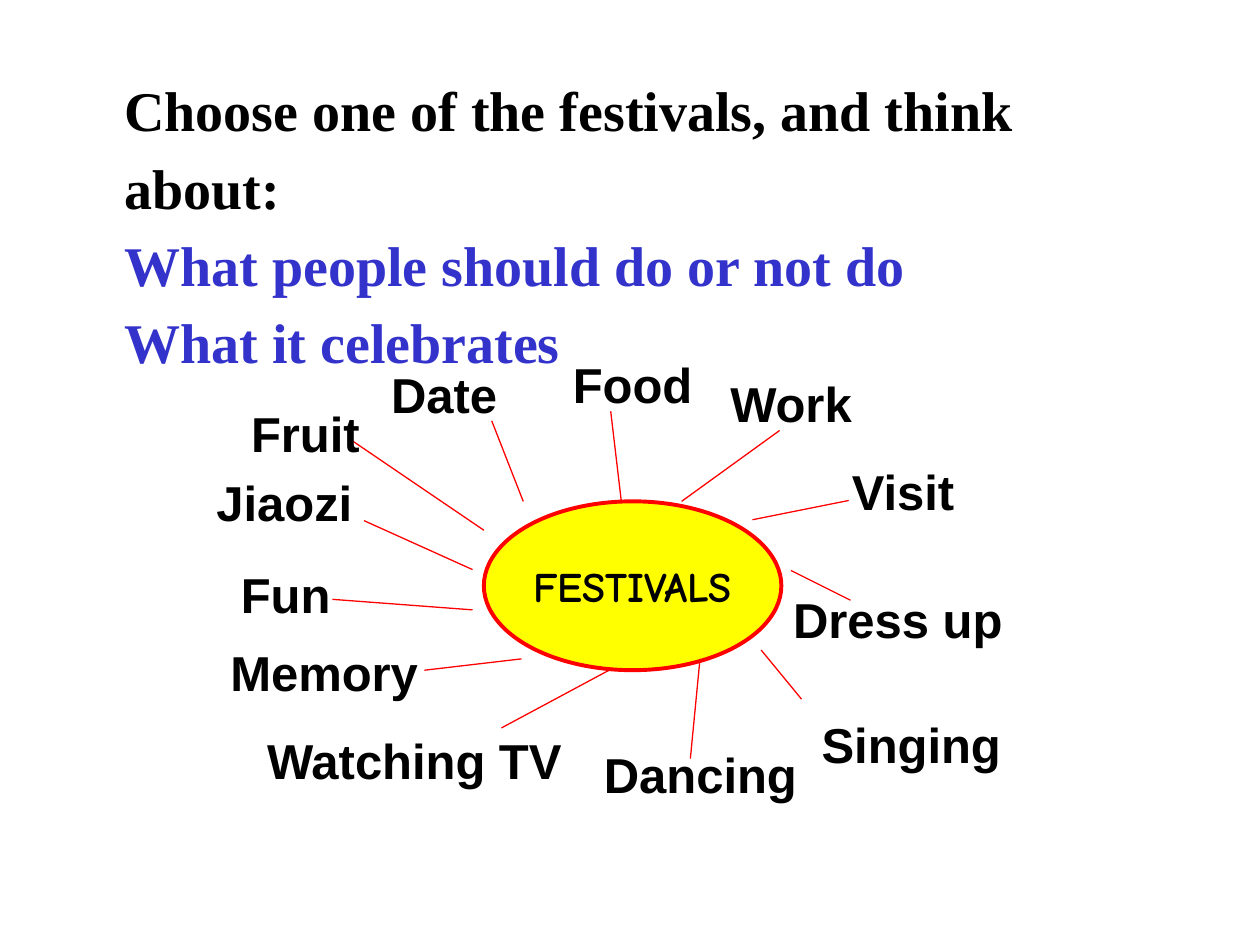
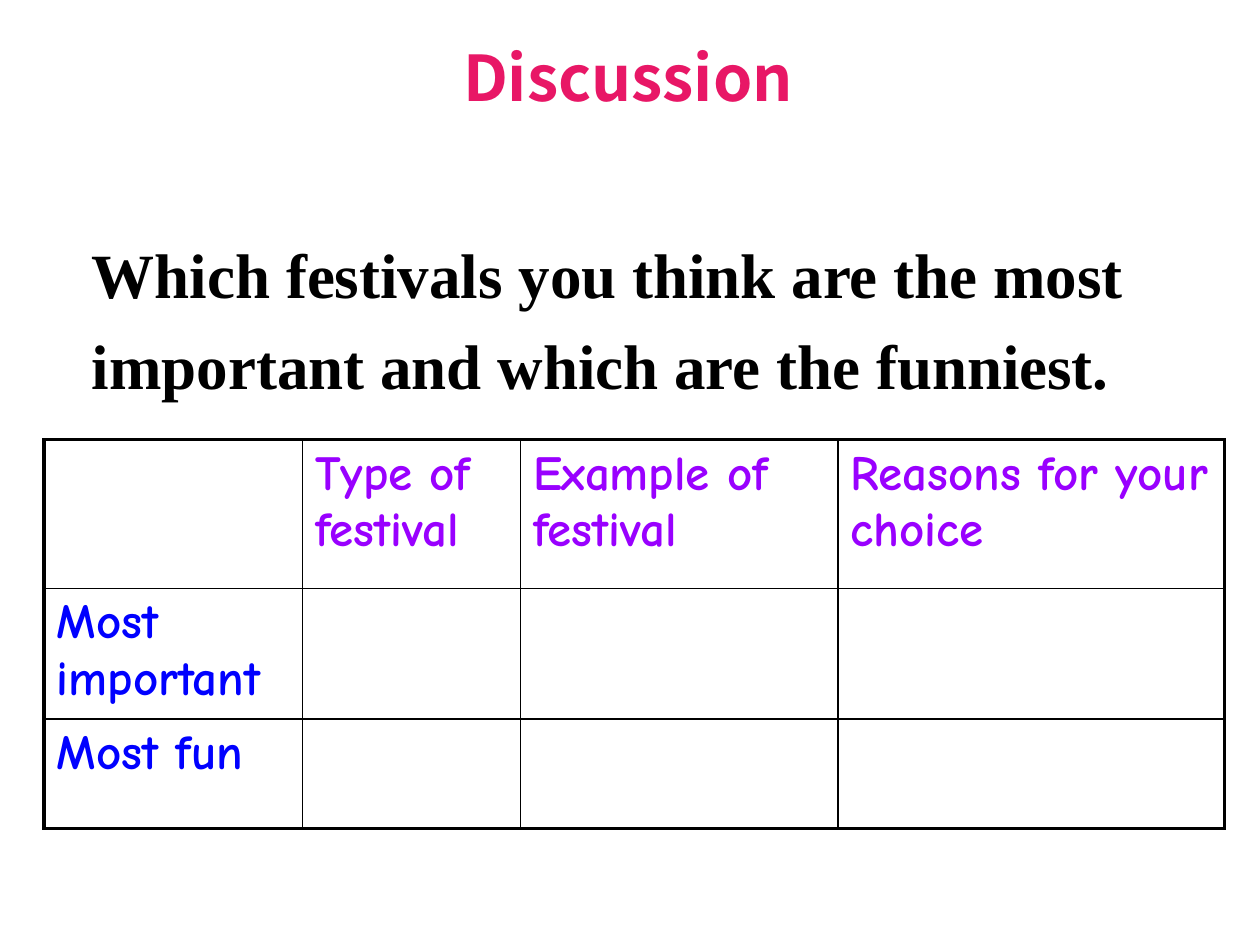
"""Build two slides on festivals: a word map and a discussion table."""
from lxml import etree
from pptx import Presentation
from pptx.dml.color import RGBColor
from pptx.enum.shapes import MSO_CONNECTOR, MSO_SHAPE
from pptx.enum.text import MSO_ANCHOR, PP_ALIGN
from pptx.oxml.ns import qn
from pptx.util import Pt

BLACK = RGBColor(0, 0, 0)
WHITE = RGBColor(255, 255, 255)
RED = RGBColor(255, 0, 0)
YELLOW = RGBColor(255, 255, 0)
BLUE = RGBColor(0, 0, 255)
INDIGO = RGBColor(0x33, 0x33, 0xCC)
PURPLE = RGBColor(0x99, 0, 0xFF)
PINK = RGBColor(0xE8, 0x17, 0x66)

SERIF, SANS = "Times New Roman", "Arial"
COMIC, TITLE = "Comic Neue", "Noto Sans CJK SC"
THIN, THICK = 1, 2.25

WORD_HEIGHT = 41
TOPICS = [
    ("Food", (320, 199, 83), (355, 286), (349, 235)),
    ("Work", (410, 210, 84), (389.5, 286.5), (445.5, 246)),
    ("Visit", (479.5, 260, 73), (430, 297), (485, 286)),
    ("Dress up", (445.5, 333.5, 135), (452, 326), (486, 343)),
    ("Singing", (462, 404.5, 117.5), (435, 371.5), (458, 399.5)),
    ("Dancing", (337.5, 422, 125.5), (400, 376.5), (394.5, 433.5)),
    ("Watching TV", (144.5, 414, 184.5), (349, 382.5), (286.5, 416)),
    ("Memory", (124.5, 363.5, 121.5), (298, 376.5), (242.5, 383)),
    ("Fun", (130.5, 319, 65.5), (270, 348.5), (190, 342.5)),
    ("Jiaozi", (116.5, 266.5, 92), (270, 325.5), (208, 297.5)),
    ("Fruit", (136, 227, 77), (276.5, 303), (201.5, 252)),
    ("Date", (216, 204.5, 75.5), (299, 286.5), (281, 240.5)),
]

COLUMN_WIDTHS = (147.6, 124.6, 181.4, 221)
ROW_HEIGHTS = (85, 74.2, 62.6)
CELLS = [
    ("", "Type of festival", "Example of festival", "Reasons for your choice"),
    ("Most important", "", "", ""),
    ("Most fun", "", "", ""),
]


def add_run(p, text, font, size, color):
    """Add one bold run to a paragraph."""
    r = p.add_run()
    r.text = text
    r.font.name, r.font.size, r.font.bold = font, Pt(size), True
    r.font.color.rgb = color


def add_text(slide, box, lines, font, size, align=PP_ALIGN.LEFT, spacing=1, wrap=True):
    """Add a text box with one paragraph for each (text, color) line."""
    tf = slide.shapes.add_textbox(*map(Pt, box)).text_frame
    tf.word_wrap = wrap
    for i, (text, color) in enumerate(lines):
        p = tf.add_paragraph() if i else tf.paragraphs[0]
        p.alignment, p.line_spacing = align, spacing
        add_run(p, text, font, size, color)


def add_hub(slide, box, text):
    """Add the ellipse at the centre of the word map."""
    sp = slide.shapes.add_shape(MSO_SHAPE.OVAL, *map(Pt, box))
    sp.shadow.inherit = False
    sp.fill.solid()
    sp.fill.fore_color.rgb = YELLOW
    sp.line.color.rgb, sp.line.width = RED, Pt(THICK)
    tf = sp.text_frame
    tf.word_wrap, tf.vertical_anchor = False, MSO_ANCHOR.MIDDLE
    p = tf.paragraphs[0]
    p.alignment = PP_ALIGN.CENTER
    add_run(p, text, COMIC, 24, BLACK)


def add_spoke(slide, start, end):
    """Add a thin red line without a shadow."""
    line = slide.shapes.add_connector(MSO_CONNECTOR.STRAIGHT, *map(Pt, start + end))
    line.line.color.rgb, line.line.width = RED, Pt(0.75)
    etree.SubElement(line._element.spPr, qn("a:effectLst"))


def set_borders(cell, widths):
    """Draw black cell borders; widths are left, right, top, bottom."""
    tcPr = cell._tc.get_or_add_tcPr()
    for i, (side, width) in enumerate(zip("LRTB", widths)):
        ln = etree.Element(qn(f"a:ln{side}"), w=str(Pt(width)))
        fill = etree.SubElement(ln, qn("a:solidFill"))
        etree.SubElement(fill, qn("a:srgbClr"), val=str(BLACK))
        tcPr.insert(i, ln)


def add_grid(slide, left, top):
    """Add the discussion table with a thick frame and thin inner lines."""
    rows, cols = len(ROW_HEIGHTS), len(COLUMN_WIDTHS)
    size = sum(COLUMN_WIDTHS), sum(ROW_HEIGHTS)
    table = slide.shapes.add_table(rows, cols, *map(Pt, (left, top, *size))).table
    for column, width in zip(table.columns, COLUMN_WIDTHS):
        column.width = Pt(width)
    for i, height in enumerate(ROW_HEIGHTS):
        table.rows[i].height = Pt(height)
        for j, text in enumerate(CELLS[i]):
            cell = table.cell(i, j)
            cell.fill.solid()
            cell.fill.fore_color.rgb = WHITE
            edges = (j == 0, j == cols - 1, i == 0, i == rows - 1)
            set_borders(cell, [THICK if edge else THIN for edge in edges])
            if text:
                p = cell.text_frame.paragraphs[0]
                p.space_before = Pt(5.6)
                add_run(p, text, COMIC, 28, PURPLE if i == 0 else BLUE)


def build_word_map(slide):
    """Fill the slide with the task and the festival word map."""
    task = [
        ("Choose one of the festivals, and think about:", BLACK),
        ("What people should do or not do", INDIGO),
        ("What it celebrates", INDIGO),
    ]
    add_text(slide, (64, 34, 606, 134), task, SERIF, 32, spacing=1.15)
    add_hub(slide, (276.5, 286.5, 170, 96.5), "FESTIVALS")
    for word, box, start, end in TOPICS:
        add_spoke(slide, start, end)
        add_text(slide, (*box, WORD_HEIGHT), [(word, BLACK)], SANS, 28,
                 PP_ALIGN.CENTER, wrap=False)


def build_discussion(slide):
    """Fill the slide with the title, the question and the table."""
    question = "Which festivals you think are the most important and which are the funniest."
    add_text(slide, (201.6, 18.7, 314.6, 98), [("Discussion", PINK)], TITLE, 36,
             PP_ALIGN.CENTER, wrap=False)
    add_text(slide, (45.4, 122.4, 620.6, 118.8), [(question, BLACK)], SERIF, 36, spacing=1.2)
    add_grid(slide, 25.2, 251.3)


def main():
    """Build and save the presentation."""
    prs = Presentation()
    prs.slide_width, prs.slide_height = Pt(720), Pt(540)
    for build in (build_word_map, build_discussion):
        build(prs.slides.add_slide(prs.slide_layouts[6]))
    prs.save("out.pptx")


if __name__ == "__main__":
    main()
